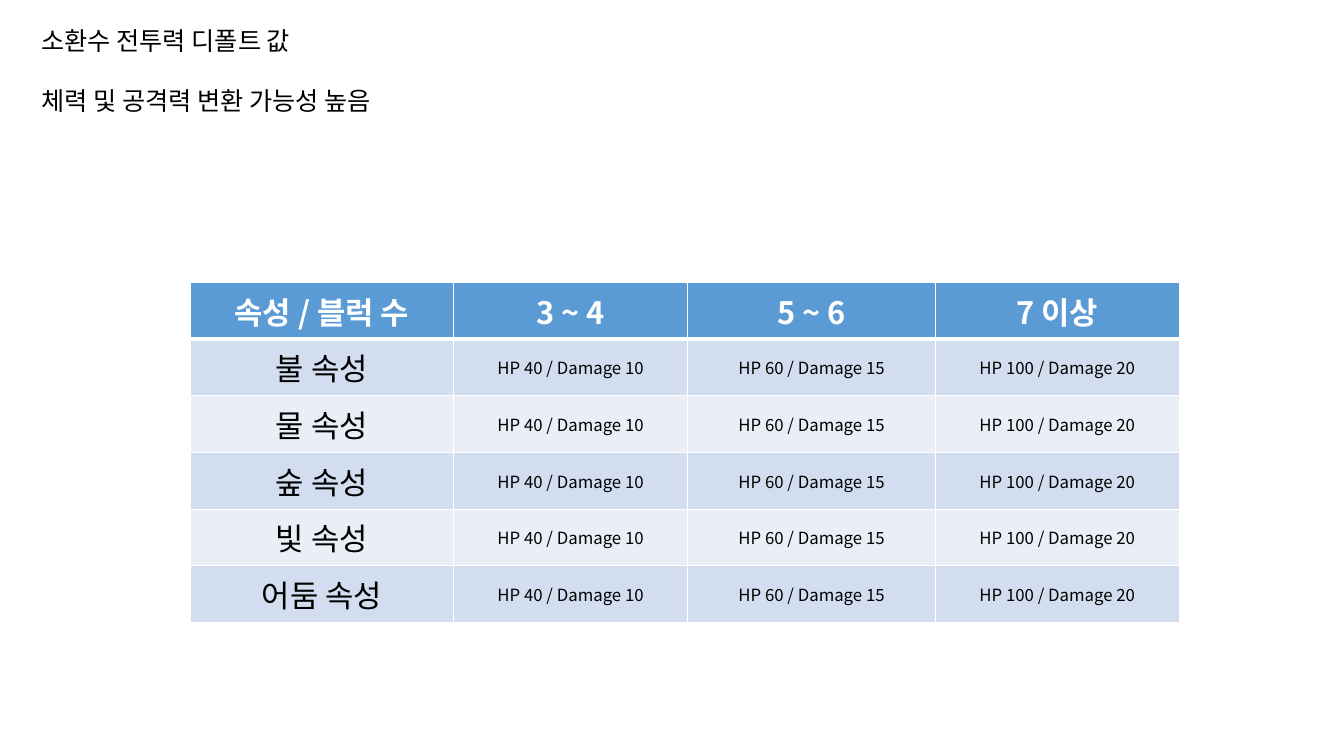
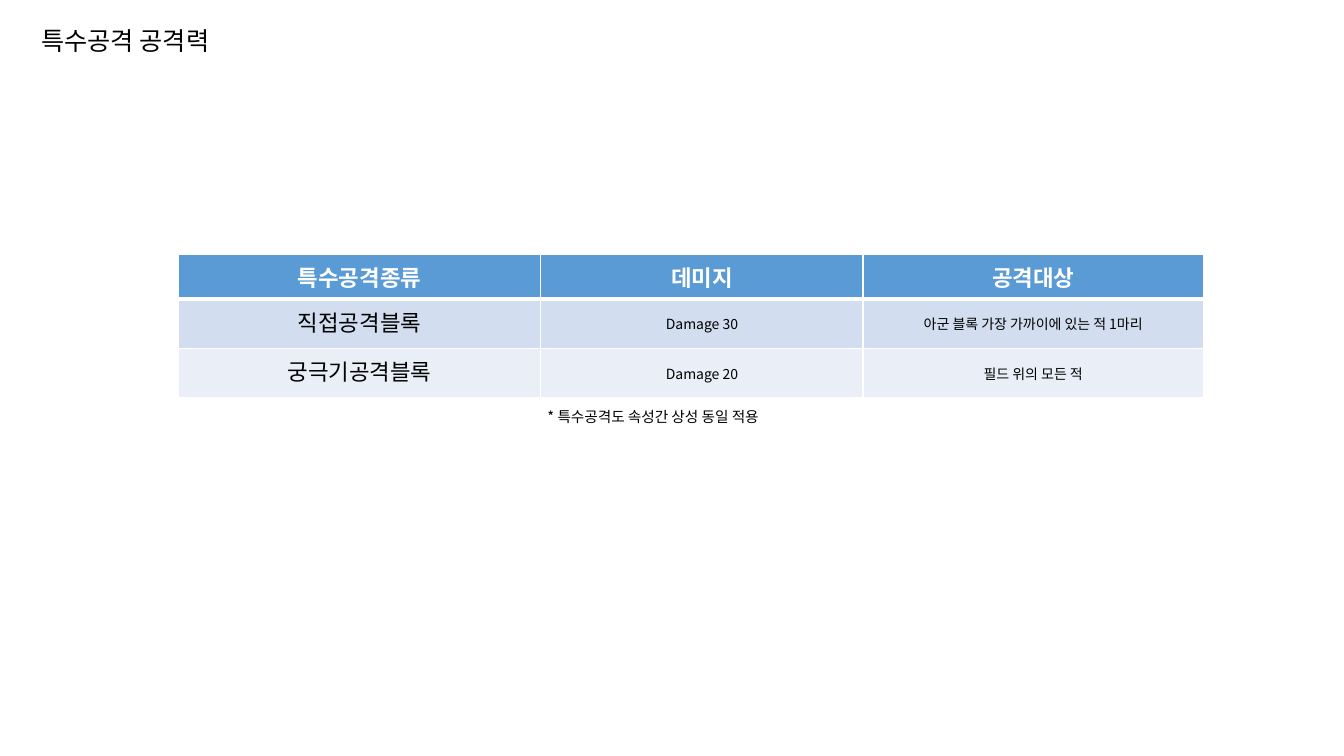
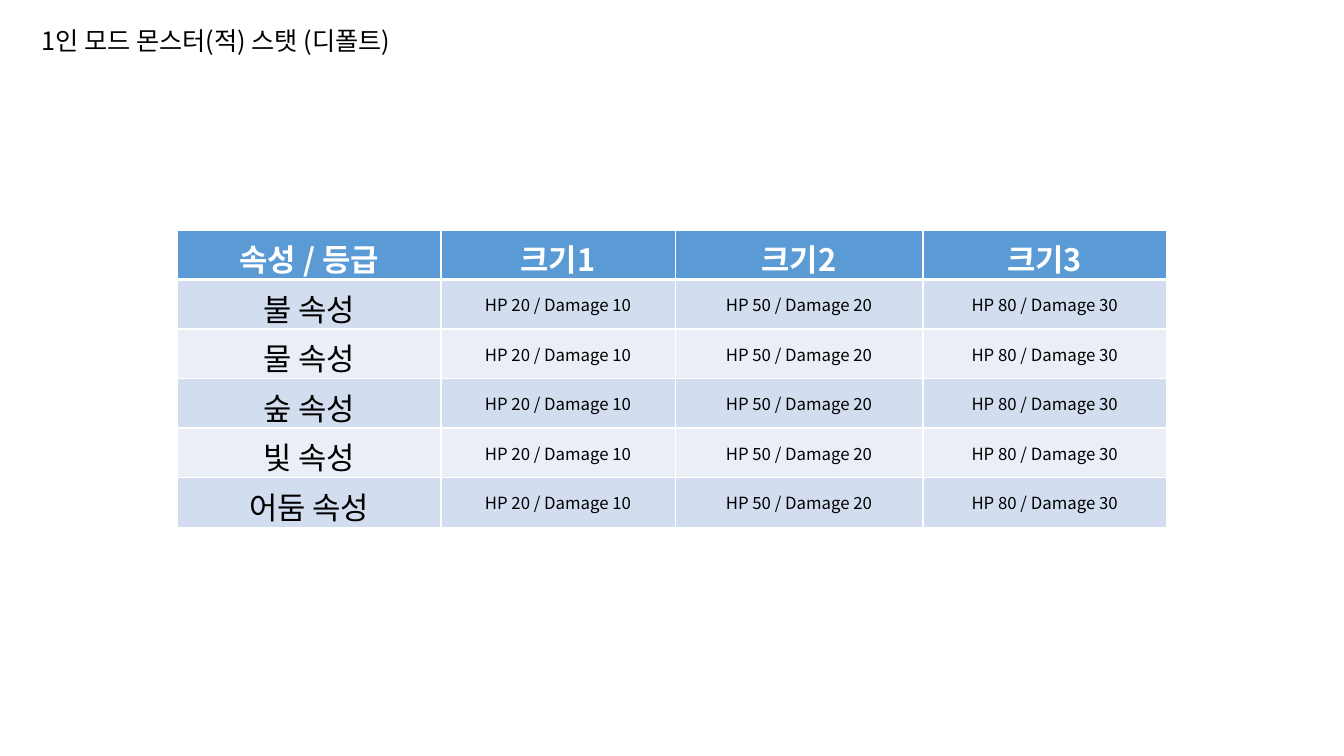
from pptx import Presentation
from pptx import util as u
from pptx.dml.color import RGBColor
from pptx.enum import text
from pptx.oxml import parse_xml
from pptx.oxml.ns import nsdecls

EMU_PER_PX = 9525  # 96 px to the inch


def px(length):
    return u.Emu(length * EMU_PER_PX)


def color(code):
    return RGBColor.from_string(code)


class Slides:
    FONT = "Noto Sans CJK KR"
    BLACK, WHITE = "000000", "FFFFFF"
    HEADER, BANDS = "5B9BD5", ("D2DEEF", "EAEFF7")

    def __init__(self):
        self.deck = Presentation()
        self.deck.slide_width, self.deck.slide_height = px(1280), px(720)
        self.slide = None

    def new(self, *title_lines):
        self.slide = self.deck.slides.add_slide(self.deck.slide_layouts[6])
        self.text_box(30, 19, 492, 39 if len(title_lines) == 1 else 97, 18, *title_lines)

    def style(self, para, size, ink=BLACK, bold=False):
        for span in para.runs:
            font = span.font
            font.name, font.size, font.bold = self.FONT, u.Pt(size), bold
            font.color.rgb = color(ink)
            font._element.get_or_add_latin().addnext(
                parse_xml(f'<a:ea {nsdecls("a")} typeface="{self.FONT}"/>'))

    def text_box(self, left, top, width, height, size, *lines):
        box = self.slide.shapes.add_textbox(px(left), px(top), px(width), px(height))
        frame = box.text_frame
        frame.word_wrap = True
        frame.auto_size = text.MSO_AUTO_SIZE.SHAPE_TO_FIT_TEXT
        frame.text = "\n".join(lines)
        for para in frame.paragraphs:
            self.style(para, size)
        for para in frame.paragraphs[1:]:
            para.space_before = u.Pt(21.3)

    def borders(self, cell, top, bottom):
        """White cell borders; top and bottom widths are in points."""
        properties = cell._tc.get_or_add_tcPr()
        for side, width in (("L", 1), ("R", 1), ("T", top), ("B", bottom)):
            properties.append(parse_xml(
                f'<a:ln{side} {nsdecls("a")} w="{u.Pt(width)}"><a:solidFill>'
                f'<a:srgbClr val="{self.WHITE}"/></a:solidFill></a:ln{side}>'))

    def cell(self, cell, words, row, column, label_size, value_size):
        header, value = row == 0, row > 0 and column > 0
        self.borders(cell, 3 if row == 1 else 1, 3 if header else 1)
        cell.fill.solid()
        cell.fill.fore_color.rgb = color(self.HEADER if header else self.BANDS[(row - 1) % 2])
        cell.margin_left = cell.margin_right = px(12)
        cell.margin_top = cell.margin_bottom = px(6)
        cell.vertical_anchor = text.MSO_ANCHOR.MIDDLE if value else text.MSO_ANCHOR.TOP
        cell.text_frame.text = words
        para = cell.text_frame.paragraphs[0]
        para.alignment = text.PP_ALIGN.CENTER
        self.style(para, value_size if value else label_size,
                   self.WHITE if header else self.BLACK, header)

    def table(self, left, top, widths, rows, label_size, value_size,
              header_height=43, row_height=47):
        heights = [header_height] + [row_height] * (len(rows) - 1)
        table = self.slide.shapes.add_table(
            len(rows), len(widths), px(left), px(top), px(sum(widths)), px(sum(heights))).table
        for column, width in zip(table.columns, widths):
            column.width = px(width)
        for row, (height, words) in enumerate(zip(heights, rows)):
            table.rows[row].height = px(height)
            for column, entry in enumerate(words):
                self.cell(table.cell(row, column), entry, row, column, label_size, value_size)

    def stats_table(self, left, top, header, stats, **heights):
        """One row for each element, all with the same (HP, damage) pairs."""
        values = [f"HP {hp} / Damage {damage}" for hp, damage in stats]
        rows = [[f"{element} 속성", *values] for element in ("불", "물", "숲", "빛", "어둠")]
        self.table(left, top, (251, 223, 236, 232), [header, *rows], 22, 12, **heights)


def main():
    slides = Slides()

    slides.new("소환수 전투력 디폴트 값", "체력 및 공격력 변환 가능성 높음")
    slides.stats_table(181, 269, ["속성 / 블럭 수", "3 ~ 4", "5 ~ 6", "7 이상"],
                       [(40, 10), (60, 15), (100, 20)], header_height=54, row_height=54)

    slides.new("특수공격 공격력")
    slides.table(170, 242, (345, 307, 324), [
        ["특수공격종류", "데미지", "공격대상"],
        ["직접공격블록", "Damage 30", "아군 블록 가장 가까이에 있는 적 1마리"],
        ["궁극기공격블록", "Damage 20", "필드 위의 모든 적"],
    ], 16, 10)
    slides.text_box(512, 384, 296, 27, 10.5, "* 특수공격도 속성간 상성 동일 적용")

    slides.new("1인 모드 몬스터(적) 스탯 (디폴트)")
    slides.stats_table(169, 219, ["속성 / 등급", "크기1", "크기2", "크기3"],
                       [(20, 10), (50, 20), (80, 30)])

    slides.deck.save("out.pptx")


if __name__ == "__main__":
    main()
